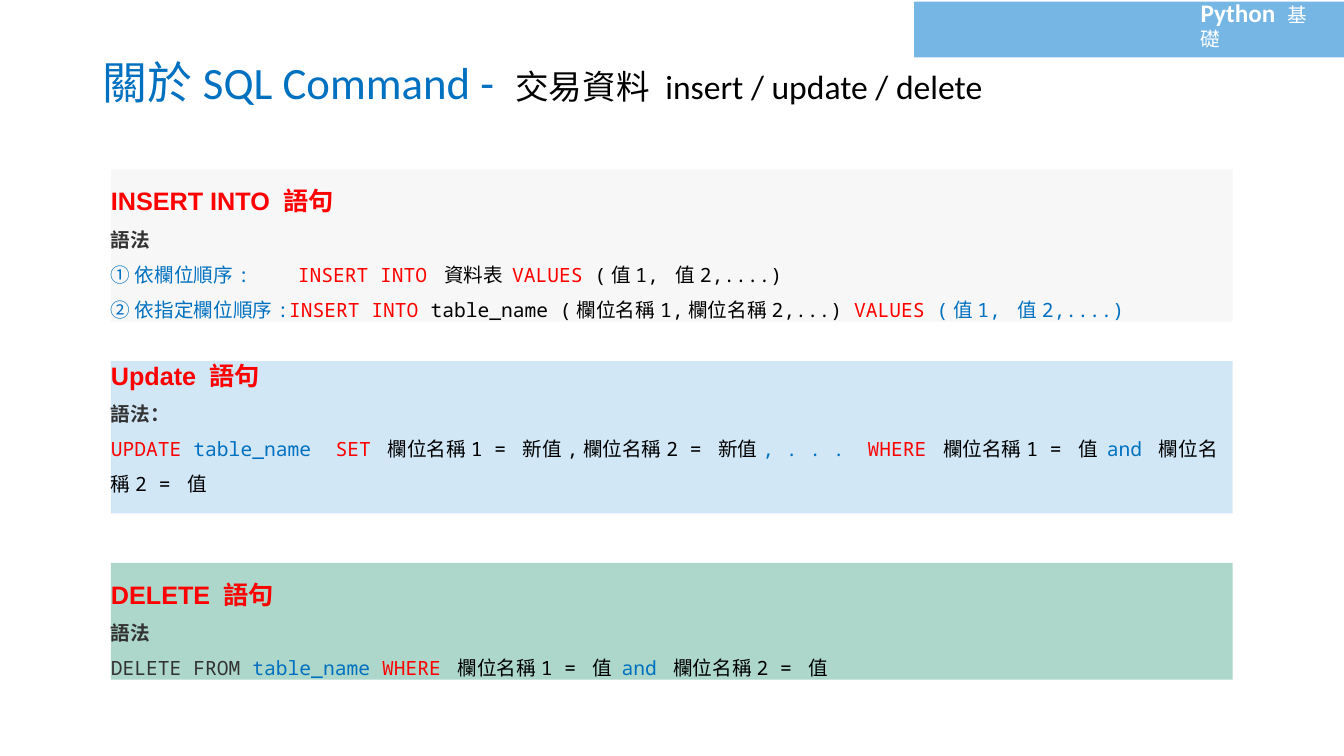
from pptx import Presentation
from pptx.dml.color import RGBColor as Rgb
from pptx.enum.shapes import MSO_SHAPE as Shape
from pptx.enum.text import MSO_ANCHOR as Anchor, MSO_AUTO_SIZE as Auto, PP_ALIGN as Align
from pptx.oxml.ns import qn
from pptx.util import Pt
from lxml.etree import SubElement as Sub

RED, BLUE, BLACK, GRAY, WHITE = "FF0000", "0070C0", "000000", "333333", "FFFFFF"
MONO = "Noto Sans Mono"

# Each panel: height, fill, space under text, heading, label, tab stops, code lines
INSERT = (108.75, "F7F7F7", 0, "INSERT INTO 語句", "語法", [133.5], [
    [("① 依欄位順序:\t", BLUE), ("INSERT INTO ", RED), ("資料表 ", BLACK),
     ("VALUES", RED), (" (值1, 值2,....)", BLACK)],
    [("② 依指定欄位順序:", BLUE), ("INSERT INTO ", RED),
     ("table_name (欄位名稱1,欄位名稱2,...) ", BLACK),
     ("VALUES", RED), (" (值1, 值2,....)", BLUE)],
])
WHERE = [("WHERE ", RED), ("欄位名稱1 = 值 ", BLACK), ("and ", BLUE),
         ("欄位名稱2 = 值", BLACK)]
UPDATE = (108.75, "D1E7F6", 12.5, "Update 語句", "語法：", [160.5, 540.5], [
    [("UPDATE ", RED), ("table_name\t", BLUE), ("SET ", RED),
     ("欄位名稱1 = 新值,欄位名稱2 = 新值", BLACK), (", . . .\t", BLUE), *WHERE],
])
DELETE = (83.5, "ACD7CA", 0, "DELETE 語句", "語法", [], [
    [("DELETE FROM ", GRAY), ("table_name ", BLUE), *WHERE],
])


def tint(item, color):
    """Give a fill or a font a solid colour."""
    fill = getattr(item, "fill", item)
    fill.solid()
    fill.fore_color.rgb = Rgb.from_string(color)


def block(slide, left, top, width, height, color):
    box = slide.shapes.add_shape(Shape.RECTANGLE, Pt(left), Pt(top), Pt(width), Pt(height))
    box.shadow.inherit = False
    tint(box, color)
    box.line.fill.background()
    return box


def add_run(para, text, color):
    run = para.add_run()
    run.text = text
    tint(run.font, color)
    return run


def write(para, runs, size, name, bold=False, tabs=()):
    para.alignment = Align.LEFT
    para.line_spacing = 1.5
    if tabs:
        stops = Sub(para._p.get_or_add_pPr(), qn("a:tabLst"))
        for pos in tabs:
            Sub(stops, qn("a:tab"), pos=str(int(Pt(pos))), algn="l")
    font = para.font
    font.size, font.name, font.bold = Pt(size), name, bold
    for text, color in runs:
        add_run(para, text, color)


# Course tag in the top right corner
def tag(slide, left, top, width, height):
    block(slide, left, top, width, height, "75B6E5")
    box = slide.shapes.add_textbox(Pt(left + 197.5), Pt(top - 7), Pt(101), Pt(29))
    box.text_frame.word_wrap = True
    para = box.text_frame.paragraphs[0]
    para.font.name = "Calibri"
    for text, size, bold in (("Python ", 18, True), ("基礎", 14, False)):
        font = add_run(para, text, WHITE).font
        font.size, font.bold = Pt(size), bold


# Slide title with its topic
def title(slide, left, top, width, height):
    head = slide.shapes.title
    head.left, head.top, head.width, head.height = map(Pt, (left, top, width, height))
    frame = head.text_frame
    frame.auto_size, frame.vertical_anchor = Auto.NONE, Anchor.MIDDLE
    para = frame.paragraphs[0]
    para.alignment, para.line_spacing = Align.LEFT, 0.9
    para.font.name = "Calibri"
    for text, size, color in (("關於SQL Command - ", 32, BLUE),
                              ("交易資料 insert / update / delete", 24, BLACK)):
        add_run(para, text, color).font.size = Pt(size)


# One panel per SQL statement
def panel(slide, left, top, width, part):
    height, color, foot, name, label, tabs, lines = part
    frame = block(slide, left, top, width, height, color).text_frame
    frame.word_wrap = True
    frame.vertical_anchor = Anchor.BOTTOM
    frame.margin_left = frame.margin_right = frame.margin_top = 0
    frame.margin_bottom = Pt(foot)
    write(frame.paragraphs[0], [(name, RED)], 18, "Arial", True)
    write(frame.add_paragraph(), [(label, GRAY)], 14, "Arial", True)
    for runs in lines:
        write(frame.add_paragraph(), runs, 14, MONO, tabs=tabs)


def main():
    deck = Presentation()
    deck.slide_width, deck.slide_height = Pt(960), Pt(540)
    slide = deck.slides.add_slide(deck.slide_layouts[5])
    tag(slide, 653, 1.25, 307, 39.75)
    title(slide, 66, 29, 828, 64)
    for top, part in ((121, INSERT), (258, UPDATE), (402, DELETE)):
        panel(slide, 79.25, top, 801.25, part)
    deck.save("out.pptx")


if __name__ == "__main__":
    main()
